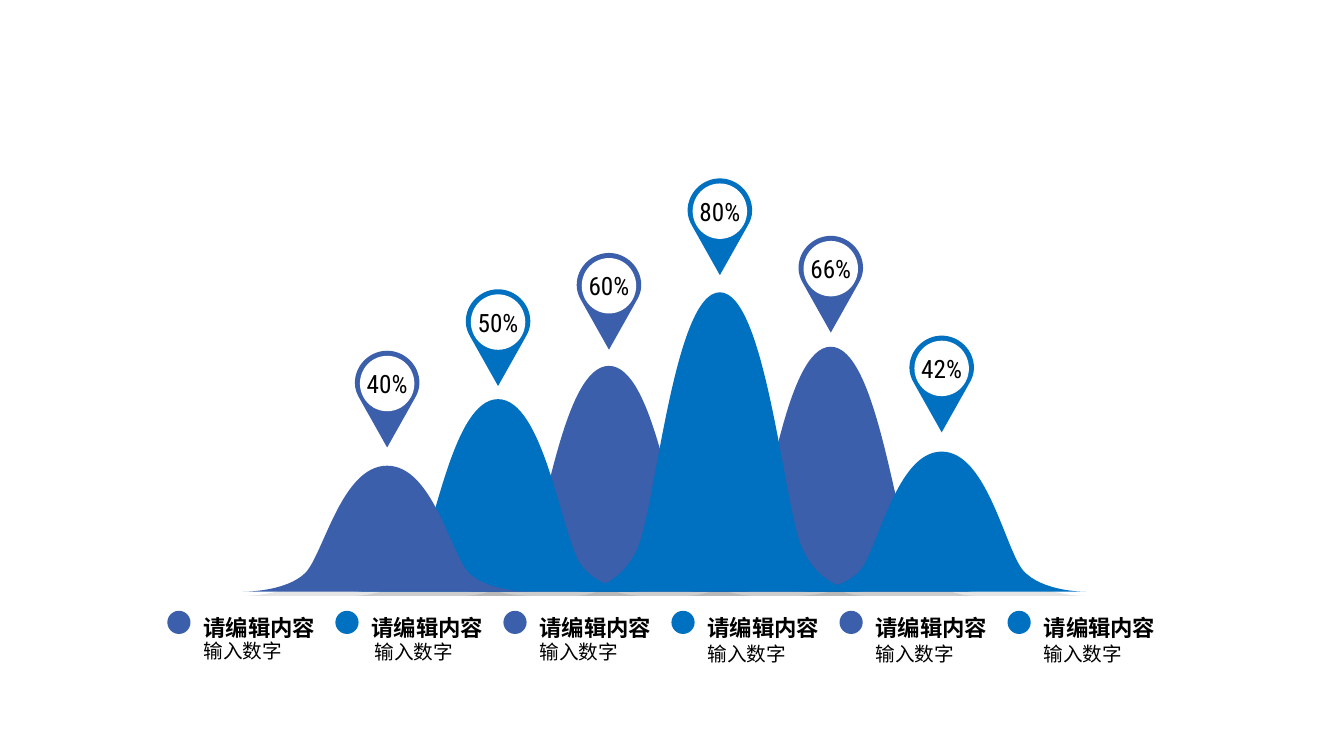
"""Build a slide of overlapping percentage peaks with pins and a legend."""
from dataclasses import dataclass

import lxml.etree
import pptx
import pptx.dml.color
import pptx.enum.shapes
import pptx.enum.text
import pptx.oxml.ns
import pptx.util

Inches = pptx.util.Inches
qn = pptx.oxml.ns.qn
OVAL = pptx.enum.shapes.MSO_SHAPE.OVAL
Point = tuple[float, float]


@dataclass(frozen=True)
class Theme:
    """Colours, fonts and type sizes."""
    indigo: str = "3B5FAB"
    blue: str = "0070C0"
    white: str = "FFFFFF"
    black: str = "000000"
    cjk: str = "Noto Sans CJK SC"
    latin: str = "Roboto Condensed"
    title: int = 16
    caption: int = 14
    value: int = 18


@dataclass(frozen=True)
class Peak:
    """One peak with its pin and legend entry."""
    value: str
    top: float
    pin_top: float
    layer: int
    caption_top: float
    caption_shift: float = 0


THEME = Theme()
PEAKS = [
    Peak("40%", 4.62, 3.48, 4, 6.2),
    Peak("50%", 3.96, 2.87, 3, 6.21, 0.03),
    Peak("60%", 3.63, 2.51, 0, 6.21),
    Peak("80%", 2.9, 1.77, 5, 6.23),
    Peak("66%", 3.44, 2.34, 1, 6.23),
    Peak("42%", 4.48, 3.33, 2, 6.23),
]
FIRST_PEAK, PEAK_STEP, BASE = 3.84, 1.1, 5.87
FIRST_KEY, KEY_STEP, KEY_TOP = 1.66, 5 / 3, 6.06
BELL_HALF = [(-1.43, 0), (-1.41, 0), (-1, 0), (-0.81, 0.15),
             (-0.63, 0.3), (-0.45, 1), (0, 1)]
PIN_HALF = [(-0.27, 0.48), (-0.3, 0.43), (-0.32, 0.38), (-0.32, 0.32),
            (-0.32, 0.14), (-0.17, 0), (0, 0)]
PIN_TIP = (0, 0.96)


def mirrored(half: list[Point]) -> list[Point]:
    """Complete a curve that is symmetric about x = 0."""
    return half + [(-x, y) for x, y in half[-2::-1]]


def paint(sp, color: str) -> None:
    """Give a shape a flat fill without line or shadow."""
    sp.fill.solid()
    sp.fill.fore_color.rgb = pptx.dml.color.RGBColor.from_string(color)
    sp.line.fill.background()
    sp.shadow.inherit = False


def add_outline(s, pts: list[Point], color: str):
    """Draw a closed outline, turning each full triple of points into a curve."""
    emu = [(Inches(x), Inches(y)) for x, y in pts]
    fb = s.shapes.build_freeform(*emu[0])
    fb.add_line_segments(emu[1:], close=True)
    sp = fb.convert_to_shape()
    lines = list(sp._element.spPr.iter(qn("a:lnTo")))
    for i in range(0, len(lines) - 2, 3):
        curve = lxml.etree.Element(qn("a:cubicBezTo"))
        lines[i].addprevious(curve)
        for line in lines[i:i + 3]:
            curve.append(line[0])
            line.getparent().remove(line)
    paint(sp, color)
    return sp


def add_disc(s, x: float, y: float, w: float, h: float, color: str):
    """Draw an ellipse."""
    sp = s.shapes.add_shape(OVAL, Inches(x), Inches(y), Inches(w), Inches(h))
    paint(sp, color)
    return sp


def drop_shadow(sp) -> None:
    """Add a faint shadow straight below a shape."""
    effects = sp._element.spPr.find(qn("a:effectLst"))
    shadow = lxml.etree.SubElement(
        effects, qn("a:outerShdw"), dist=str(pptx.util.Pt(3)), dir="5400000",
        algn="t", rotWithShape="0")
    clr = lxml.etree.SubElement(shadow, qn("a:srgbClr"), val=THEME.black)
    lxml.etree.SubElement(clr, qn("a:alpha"), val="10000")


def write(tf, text: str, *, size: int, font: str, bold: bool = False,
          spacing: float | None = None, centred: bool = False) -> None:
    """Write one formatted line into a text frame."""
    p = tf.paragraphs[0]
    p.line_spacing = spacing
    p.alignment = pptx.enum.text.PP_ALIGN.CENTER if centred else None
    r = p.add_run()
    r.text = text
    r.font.size = pptx.util.Pt(size)
    r.font.bold = bold
    r.font.color.rgb = pptx.dml.color.RGBColor.from_string(THEME.black)
    r.font.name = font
    lxml.etree.SubElement(r.font._element, qn("a:ea"), typeface=font)


def add_label(s, x: float, y: float, h: float, text: str, size: int,
              bold: bool = False) -> None:
    """Add a legend text box."""
    tf = s.shapes.add_textbox(Inches(x), Inches(y), Inches(1.42), Inches(h)).text_frame
    tf.word_wrap = True
    tf.auto_size = pptx.enum.text.MSO_AUTO_SIZE.SHAPE_TO_FIT_TEXT
    write(tf, text, size=size, font=THEME.cjk, bold=bold, spacing=1.4)


def add_bell(s, peak: Peak, x: float, color: str) -> None:
    """Draw one bell-shaped peak."""
    height = BASE - peak.top
    pts = [(x + dx, BASE - dy * height) for dx, dy in mirrored(BELL_HALF)]
    drop_shadow(add_outline(s, pts, color))


def add_pin(s, peak: Peak, x: float, color: str) -> None:
    """Draw a map pin holding the value."""
    drop = mirrored(PIN_HALF) + [PIN_TIP]
    add_outline(s, [(x + dx, peak.pin_top + dy) for dx, dy in drop], color)
    sp = add_disc(s, x - 0.27, peak.pin_top + 0.05, 0.54, 0.55, THEME.white)
    tf = sp.text_frame
    tf.word_wrap = False
    tf.margin_left = tf.margin_right = tf.margin_top = tf.margin_bottom = 0
    tf.vertical_anchor = pptx.enum.text.MSO_ANCHOR.MIDDLE
    write(tf, peak.value, size=THEME.value, font=THEME.latin, centred=True)


def add_key(s, peak: Peak, x: float, color: str) -> None:
    """Draw one legend entry."""
    add_disc(s, x, KEY_TOP, 0.23, 0.23, color)
    add_label(s, x + 0.26, 5.94, 0.44, "请编辑内容", THEME.title, bold=True)
    add_label(s, x + 0.26 + peak.caption_shift, peak.caption_top, 0.4,
              "输入数字", THEME.caption)


def main() -> None:
    """Build and save the slide."""
    prs = pptx.Presentation()
    prs.slide_width, prs.slide_height = Inches(13.33), Inches(7.5)
    s = prs.slides.add_slide(prs.slide_layouts[6])
    items = [(peak, i, (THEME.indigo, THEME.blue)[i % 2]) for i, peak in enumerate(PEAKS)]
    for peak, i, color in sorted(items, key=lambda item: item[0].layer):
        add_bell(s, peak, FIRST_PEAK + i * PEAK_STEP, color)
    for peak, i, color in items:
        add_key(s, peak, FIRST_KEY + i * KEY_STEP, color)
    for peak, i, color in items:
        add_pin(s, peak, FIRST_PEAK + i * PEAK_STEP, color)
    prs.save("out.pptx")


if __name__ == "__main__":
    main()
